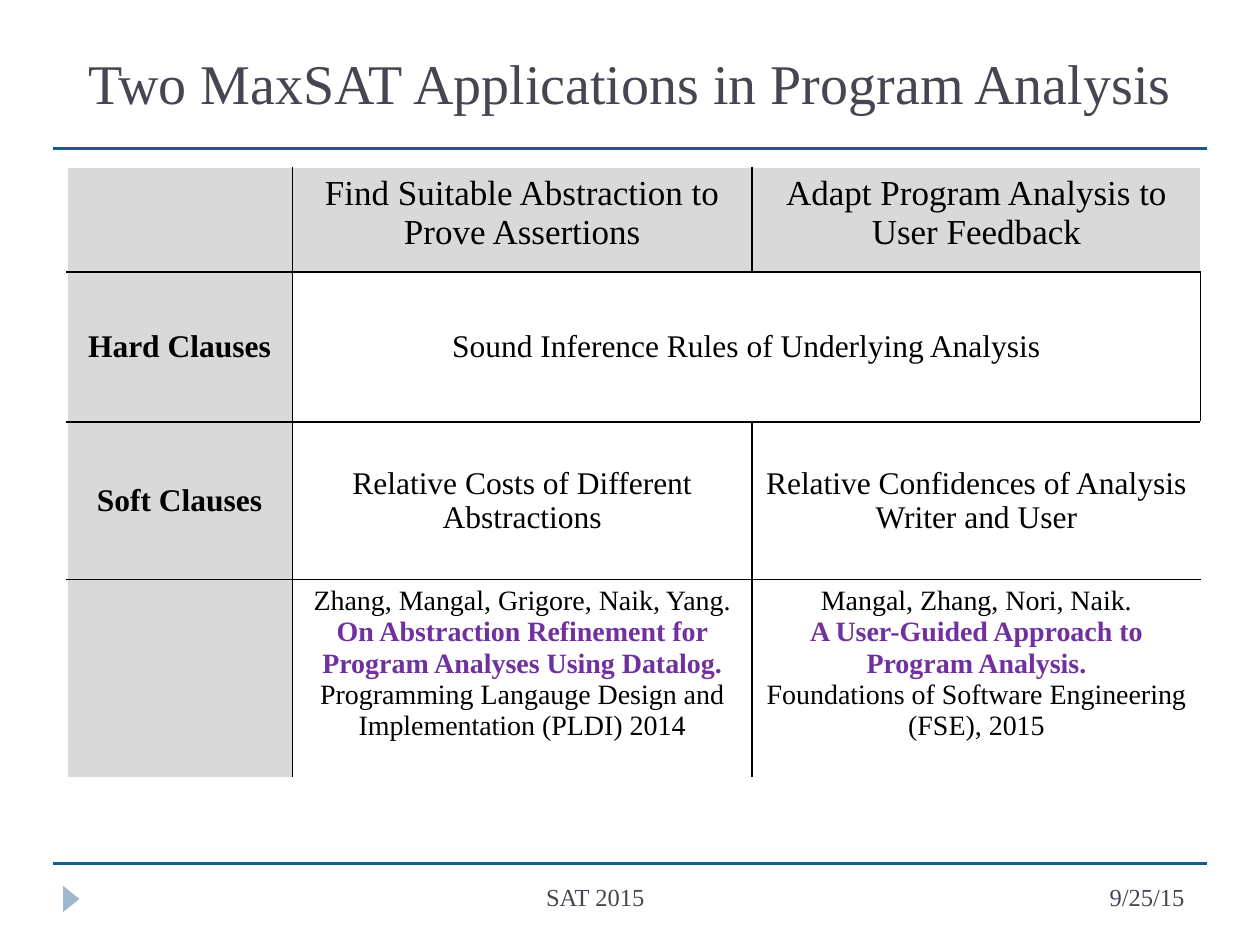
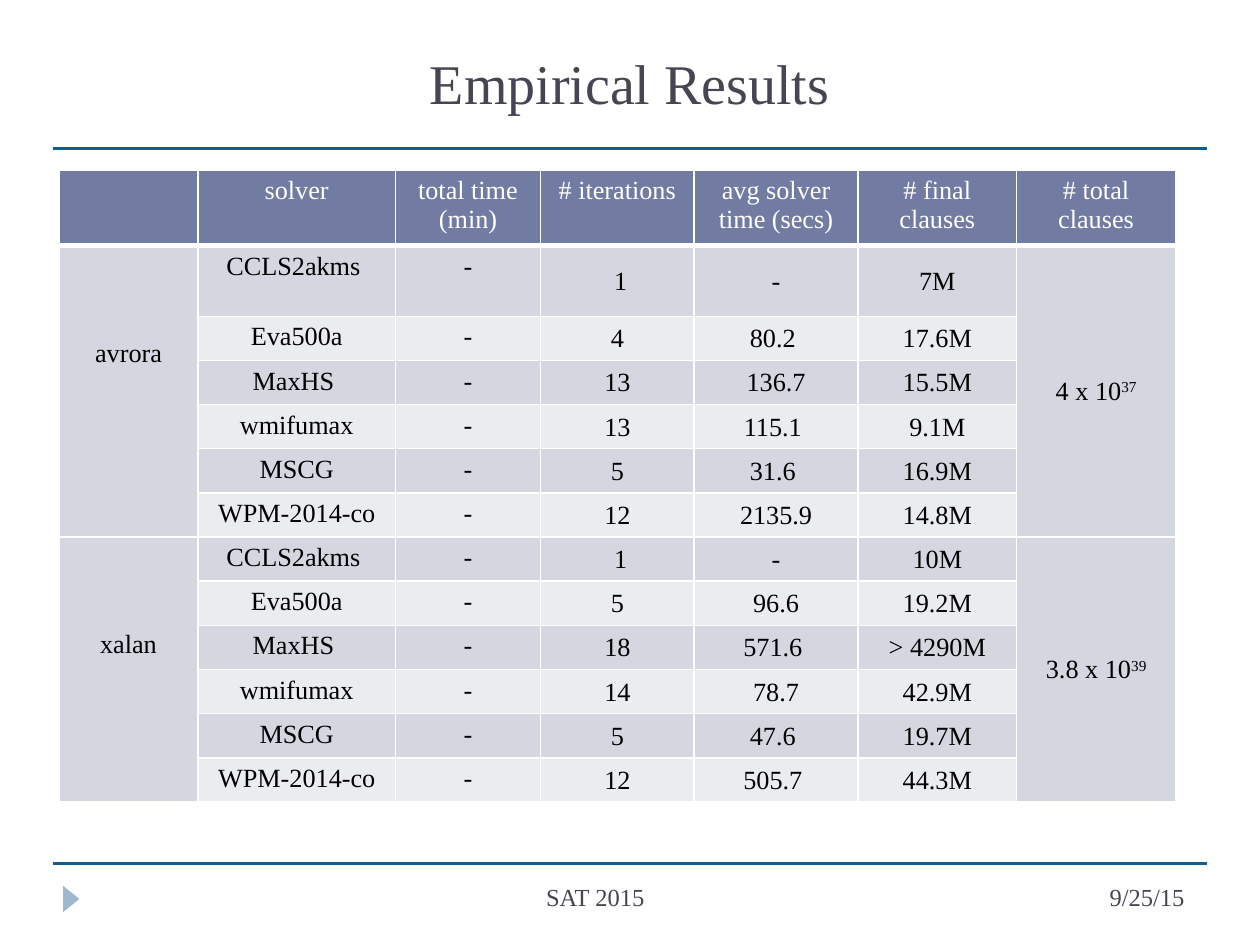
from dataclasses import dataclass
from typing import Any, Optional

import lxml.etree
import pptx
import pptx.dml.color
import pptx.enum.shapes
import pptx.enum.text
import pptx.oxml.ns
import pptx.util

Inches = pptx.util.Inches
Align = pptx.enum.text.PP_ALIGN
Anchor = pptx.enum.text.MSO_ANCHOR

FONT = "Times New Roman"
BLACK, WHITE = "000000", "FFFFFF"
INK, RULE, MARKER = "464653", "0F5E90", "9FB8CD"
LABEL_GREY, PAPER_PURPLE = "D9D9D9", "7030A0"
HEADER_BLUE, BAND_DARK, BAND_LIGHT = "727CA3", "D5D7E0", "EBECF0"
RULE_TOPS = (1.18, 6.85)


@dataclass
class Span:
    text: str
    color: Optional[str] = None
    bold: Optional[bool] = None
    raised: bool = False


@dataclass
class FooterText:
    text: str
    left: float
    width: float
    align: Any


@dataclass
class Edge:
    color: str
    width: float = 1


@dataclass
class SolverRun:
    solver: str
    iterations: str
    solver_time: str
    final_clauses: str


@dataclass
class Benchmark:
    name: str
    exponent_base: str
    exponent: str
    runs: list[SolverRun]


FOOTERS = [
    FooterText("9/25/15", 7, 2.5, Align.RIGHT),
    FooterText("SAT 2015", 1.56, 6.33, Align.CENTER),
]

HEADINGS = ["Find Suitable Abstraction to Prove Assertions",
            "Adapt Program Analysis to User Feedback"]
SOFT_CLAUSES = ["Relative Costs of Different Abstractions",
                "Relative Confidences of Analysis Writer and User"]
PAPERS = [
    ("Zhang, Mangal, Grigore, Naik, Yang.",
     "On Abstraction Refinement for Program Analyses Using Datalog.",
     "Programming Langauge Design and Implementation (PLDI) 2014"),
    ("Mangal, Zhang, Nori, Naik.",
     "A User-Guided Approach to Program Analysis.",
     "Foundations of Software Engineering (FSE), 2015"),
]

RESULT_HEADINGS = ["", "solver", "total time (min)", "# iterations",
                   "avg solver time (secs)", "# final\nclauses", "# total clauses"]
BENCHMARKS = [
    Benchmark("avrora", "4 x 10", "37", [
        SolverRun("CCLS2akms ", " 1", "-", "7M"),
        SolverRun("Eva500a", "4", "80.2 ", "17.6M"),
        SolverRun("MaxHS ", "13", "136.7", "15.5M"),
        SolverRun("wmifumax", "13", "115.1 ", "9.1M"),
        SolverRun("MSCG", "5", "31.6 ", "16.9M"),
        SolverRun("WPM-2014-co", "12", "2135.9", "14.8M"),
    ]),
    Benchmark("xalan", "3.8 x 10", "39", [
        SolverRun("CCLS2akms ", " 1", "-", "10M"),
        SolverRun("Eva500a", "5", "96.6", "19.2M"),
        SolverRun("MaxHS ", "18", "571.6 ", "> 4290M"),
        SolverRun("wmifumax", "14", "78.7", "42.9M"),
        SolverRun("MSCG", "5", "47.6 ", "19.7M"),
        SolverRun("WPM-2014-co", "12", "505.7 ", "44.3M"),
    ]),
]


def rgb(value: str) -> pptx.dml.color.RGBColor:
    return pptx.dml.color.RGBColor.from_string(value)


def write(frame: Any, text: Any, *, size: float, color: str = BLACK,
          bold: bool = False, align: Any = Align.CENTER) -> None:
    lines = text.split("\n") if isinstance(text, str) else text
    frame.word_wrap = True
    for index, line in enumerate(lines):
        para = frame.paragraphs[0] if index == 0 else frame.add_paragraph()
        para.alignment = align
        for part in [Span(line)] if isinstance(line, str) else line:
            span = para.add_run()
            span.text = part.text
            span.font.name = FONT
            span.font.size = pptx.util.Pt(size)
            span.font.bold = bold if part.bold is None else part.bold
            span.font.color.rgb = rgb(part.color or color)
            if part.raised:
                span._r.get_or_add_rPr().set("baseline", "30000")


def add_rule(page: Any, top: float) -> None:
    rule = page.shapes.add_connector(pptx.enum.shapes.MSO_CONNECTOR.STRAIGHT,
                                     Inches(0.42), Inches(top), Inches(9.58), Inches(top))
    rule.line.color.rgb = rgb(RULE)
    rule.line.width = pptx.util.Pt(1.75)
    lxml.etree.SubElement(rule._element.spPr, pptx.oxml.ns.qn("a:effectLst"))


def add_page(deck: Any, title: str) -> Any:
    page = deck.slides.add_slide(deck.slide_layouts[5])
    marker = page.shapes.add_shape(pptx.enum.shapes.MSO_SHAPE.ISOSCELES_TRIANGLE,
                                   Inches(0.46), Inches(7.07), Inches(0.21), Inches(0.13))
    marker.rotation = 90
    marker.shadow.inherit = False
    marker.fill.solid()
    marker.fill.fore_color.rgb = rgb(MARKER)
    marker.line.fill.background()
    for top in RULE_TOPS:
        add_rule(page, top)

    heading = page.shapes.title
    heading.left, heading.top = Inches(0.5), Inches(0.17)
    heading.width, heading.height = Inches(9), Inches(0.97)
    heading.text_frame.vertical_anchor = Anchor.MIDDLE
    heading.text_frame.auto_size = pptx.enum.text.MSO_AUTO_SIZE.NONE
    write(heading.text_frame, title, size=32, color=INK)

    for footer in FOOTERS:
        box = page.shapes.add_textbox(Inches(footer.left), Inches(6.95),
                                      Inches(footer.width), Inches(0.4))
        write(box.text_frame, footer.text, size=14, color=INK, align=footer.align)
    return page


def add_table(page: Any, left: float, top: float,
              widths: list[float], heights: list[float]) -> Any:
    table = page.shapes.add_table(len(heights), len(widths), Inches(left), Inches(top),
                                  Inches(sum(widths)), Inches(sum(heights))).table
    table.first_row = table.horz_banding = False
    for column, width in zip(table.columns, widths):
        column.width = Inches(width)
    for row, height in zip(table.rows, heights):
        row.height = Inches(height)
    return table


def style_cell(cell: Any, fill: Optional[str], left: Edge, right: Edge,
               top: Edge, bottom: Edge) -> None:
    properties = cell._tc.get_or_add_tcPr()
    for tag, edge in zip(("a:lnL", "a:lnR", "a:lnT", "a:lnB"), (left, right, top, bottom)):
        line = lxml.etree.SubElement(properties, pptx.oxml.ns.qn(tag),
                                     w=str(pptx.util.Pt(edge.width)))
        paint = lxml.etree.SubElement(line, pptx.oxml.ns.qn("a:solidFill"))
        lxml.etree.SubElement(paint, pptx.oxml.ns.qn("a:srgbClr"), val=edge.color)
    if fill:
        cell.fill.solid()
        cell.fill.fore_color.rgb = rgb(fill)
    else:
        cell.fill.background()


def fill_cell(cell: Any, text: Any, *, middle: bool = False, tight: bool = False,
              **text_format: Any) -> None:
    if middle:
        cell.vertical_anchor = Anchor.MIDDLE
    if tight:
        cell.margin_left = cell.margin_right = cell.margin_top = Inches(0.01)
        cell.margin_bottom = 0
    write(cell.text_frame, text, **text_format)


def build_applications(deck: Any) -> None:
    page = add_page(deck, "Two MaxSAT Applications in Program Analysis")
    table = add_table(page, 0.53, 1.33, [1.79, 3.65, 3.56], [0.83, 1.19, 1.25, 1.57])
    inner, outer = Edge(BLACK), Edge(WHITE)
    for row in range(4):
        for column in range(3):
            style_cell(table.cell(row, column),
                       LABEL_GREY if row == 0 or column == 0 else None,
                       left=outer if column == 0 else inner,
                       right=outer if column == 2 else inner,
                       top=outer if row == 0 else inner,
                       bottom=outer if row == 3 else inner)
    table.cell(1, 1).merge(table.cell(1, 2))

    for row, label in enumerate(("Hard Clauses", "Soft Clauses"), start=1):
        fill_cell(table.cell(row, 0), label, size=18, bold=True, middle=True)
    fill_cell(table.cell(1, 1), "Sound Inference Rules of Underlying Analysis",
              size=18, middle=True)
    for column, (heading, soft, paper) in enumerate(zip(HEADINGS, SOFT_CLAUSES, PAPERS), start=1):
        authors, paper_title, venue = paper
        fill_cell(table.cell(0, column), heading, size=20)
        fill_cell(table.cell(2, column), soft, size=18, middle=True)
        fill_cell(table.cell(3, column),
                  [authors, [Span(paper_title, PAPER_PURPLE, True)], venue], size=16)


def build_results(deck: Any) -> None:
    page = add_page(deck, "Empirical Results")
    table = add_table(page, 0.47, 1.35, [1.1, 1.57, 1.15, 1.22, 1.3, 1.26, 1.26],
                      [0.59, 0.56] + [0.34] * 11)
    thin, thick = Edge(WHITE), Edge(WHITE, 3)
    for row in range(13):
        for column in range(7):
            banded = BAND_DARK if row % 2 or column in (0, 6) else BAND_LIGHT
            style_cell(table.cell(row, column), banded if row else HEADER_BLUE,
                       left=thin, right=thin, top=thin, bottom=thin if row else thick)

    for column, heading in enumerate(RESULT_HEADINGS):
        if heading:
            fill_cell(table.cell(0, column), heading, size=15, color=WHITE)
    first = 1
    for benchmark in BENCHMARKS:
        last = first + len(benchmark.runs) - 1
        for column in (0, 6):
            table.cell(first, column).merge(table.cell(last, column))
        name_cell = table.cell(first, 0)
        name_cell.margin_top = Inches(0.74)
        fill_cell(name_cell, benchmark.name, size=15)
        fill_cell(table.cell(first, 6),
                  [[Span(benchmark.exponent_base), Span(benchmark.exponent, raised=True)]],
                  size=15, middle=True, tight=True)
        for row, run in enumerate(benchmark.runs, start=first):
            values = (run.solver, "-", run.iterations, run.solver_time, run.final_clauses)
            for column, value in enumerate(values, start=1):
                measured = column > 2
                fill_cell(table.cell(row, column), value, size=15,
                          middle=measured, tight=measured)
        first = last + 1


def main() -> None:
    deck = pptx.Presentation()
    deck.slide_width, deck.slide_height = Inches(10), Inches(7.5)
    build_applications(deck)
    build_results(deck)
    deck.save("out.pptx")


if __name__ == "__main__":
    main()
